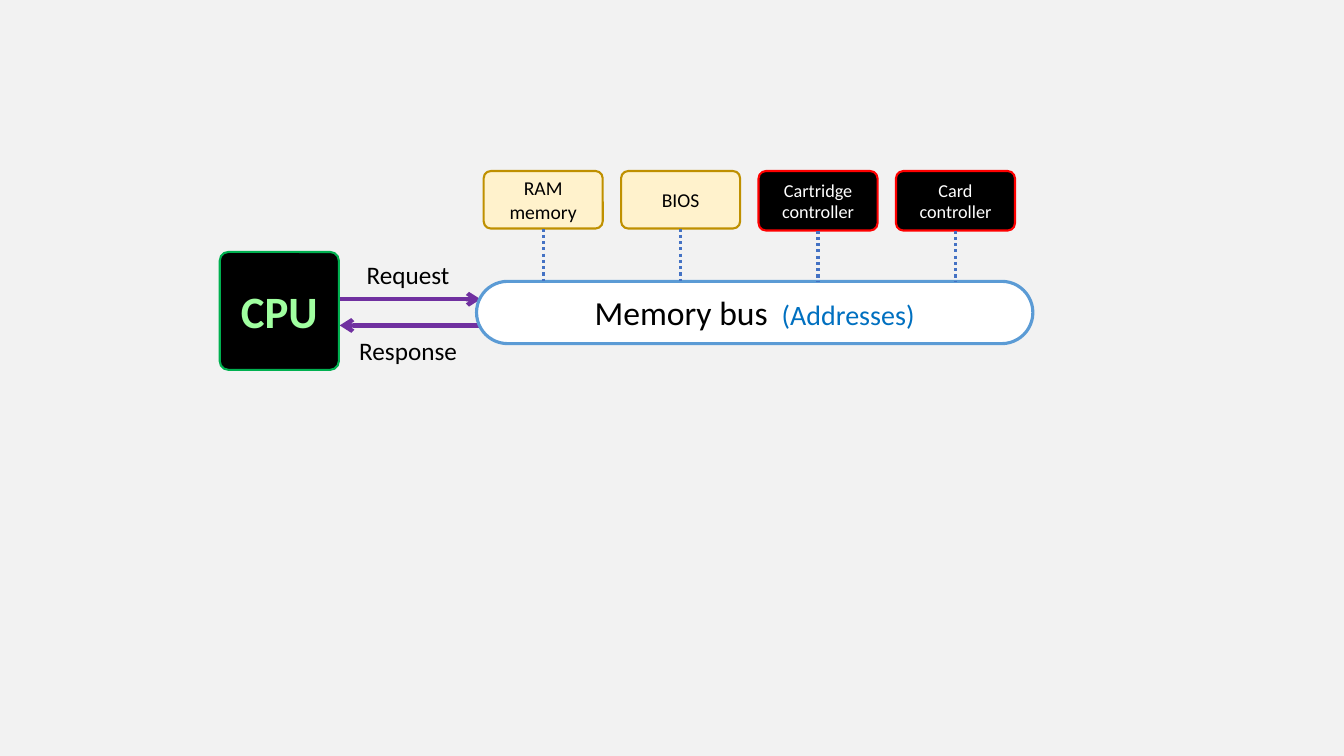
from lxml import etree
from pptx import Presentation
from pptx.dml.color import RGBColor
from pptx.enum.dml import MSO_LINE
from pptx.enum.shapes import MSO_CONNECTOR, MSO_SHAPE
from pptx.enum.text import MSO_ANCHOR, PP_ALIGN
from pptx.oxml.ns import qn
from pptx.util import Cm, Pt

ROUNDED = MSO_SHAPE.ROUNDED_RECTANGLE
STRAIGHT = MSO_CONNECTOR.STRAIGHT
DOTTED = MSO_LINE.ROUND_DOT
MIDDLE = MSO_ANCHOR.MIDDLE
CENTER = PP_ALIGN.CENTER
BOTTOM_SIDE = 2

MEMORY = {"fill": "FFF2CC", "line": "BF9000", "text": "000000", "size": 14, "height": 1.45}
CONTROLLER = {"fill": "000000", "line": "FF0000", "text": "FFFFFF", "size": 13, "height": 1.5}
DEVICES = [
    ("RAM memory", MEMORY),
    ("BIOS", MEMORY),
    ("Cartridge controller", CONTROLLER),
    ("Card controller", CONTROLLER),
]


def color(hex_value):
    """Turn a hex string into a colour."""
    return RGBColor.from_string(hex_value)


def write_runs(shape, runs):
    """Write centred runs of (text, size, colour, bold) in a shape."""
    frame = shape.text_frame
    for name, value in {"word_wrap": True, "vertical_anchor": MIDDLE}.items():
        setattr(frame, name, value)
    paragraph = frame.paragraphs[0]
    paragraph.alignment = CENTER
    for text, size, hex_value, bold in runs:
        run = paragraph.add_run()
        run.text = text
        for name, value in {"name": "Calibri", "size": Pt(size), "bold": bold}.items():
            setattr(run.font, name, value)
        run.font.color.rgb = color(hex_value)


def add_block(slide, box, corner, fill, line, width, runs):
    """Add a rounded block with text in a box given in centimetres."""
    shape = slide.shapes.add_shape(ROUNDED, *map(Cm, box))
    shape.shadow.inherit = False
    shape.adjustments[0] = corner
    shape.fill.solid()
    shape.fill.fore_color.rgb = color(fill)
    shape.line.color.rgb = color(line)
    shape.line.width = Pt(width)
    write_runs(shape, runs)
    return shape


def add_line(slide, start, end, hex_value, width):
    """Add a straight connector without shadow between two points."""
    connector = slide.shapes.add_connector(STRAIGHT, *start, *end)
    connector.line.color.rgb = color(hex_value)
    connector.line.width = Pt(width)
    etree.SubElement(connector._element.spPr, qn("a:effectLst"))
    return connector


def add_cpu(slide, box):
    """Add the processor block."""
    add_block(slide, box, 0.073, "000000", "00B050", 1.5, [("CPU", 32, "A0FFA0", True)])


def add_exchange(slide, box):
    """Add the request and response arrows with their labels."""
    left, top, width, height = box
    right = left + width
    label_height = 1.02
    rows = [
        ("Request", top, top + 1.14, left, right),
        ("Response", top + height - label_height, top + 1.8, right, left),
    ]
    for text, label_top, arrow_y, start_x, end_x in rows:
        label = slide.shapes.add_textbox(Cm(left), Cm(label_top), Cm(width - 0.1), Cm(label_height))
        write_runs(label, [(text, 18, "000000", False)])
        arrow = add_line(slide, (Cm(start_x), Cm(arrow_y)), (Cm(end_x), Cm(arrow_y)), "7030A0", 3)
        etree.SubElement(arrow.line._get_or_add_ln(), qn("a:tailEnd"), type="arrow")


def add_bus(slide, box):
    """Add the memory bus."""
    runs = [("Memory bus ", 24, "000000", False), (" (Addresses)", 20, "0070C0", False)]
    add_block(slide, box, 0.5, "FFFFFF", "5B9BD5", 2.25, runs)


def add_devices(slide, box):
    """Add evenly spaced devices, each linked to the bottom of the box."""
    left, top, width, height = box
    device_width = 3
    pitch = (width - device_width) / (len(DEVICES) - 1)
    for index, (text, style) in enumerate(DEVICES):
        device_box = (left + index * pitch, top, device_width, style["height"])
        runs = [(text, style["size"], style["text"], False)]
        device = add_block(slide, device_box, 0.125, style["fill"], style["line"], 1.5, runs)
        middle = device.left + device.width // 2
        start = (middle, device.top + device.height)
        link = add_line(slide, start, (middle, Cm(top + height)), "4472C4", 2.25)
        link.line.dash_style = DOTTED
        link.begin_connect(device, BOTTOM_SIDE)


def main():
    """Build and save the slide."""
    presentation = Presentation()
    presentation.slide_width, presentation.slide_height = Cm(33.87), Cm(19.05)
    slide = presentation.slides.add_slide(presentation.slide_layouts[6])
    slide.background.fill.solid()
    slide.background.fill.fore_color.rgb = color("F2F2F2")
    add_cpu(slide, (5.54, 6.35, 3, 2.97))
    add_exchange(slide, (8.56, 6.4, 3.55, 2.95))
    add_bus(slide, (12.01, 7.09, 14.02, 1.57))
    add_devices(slide, (12.19, 4.31, 13.39, 2.77))
    presentation.save("out.pptx")


if __name__ == "__main__":
    main()
